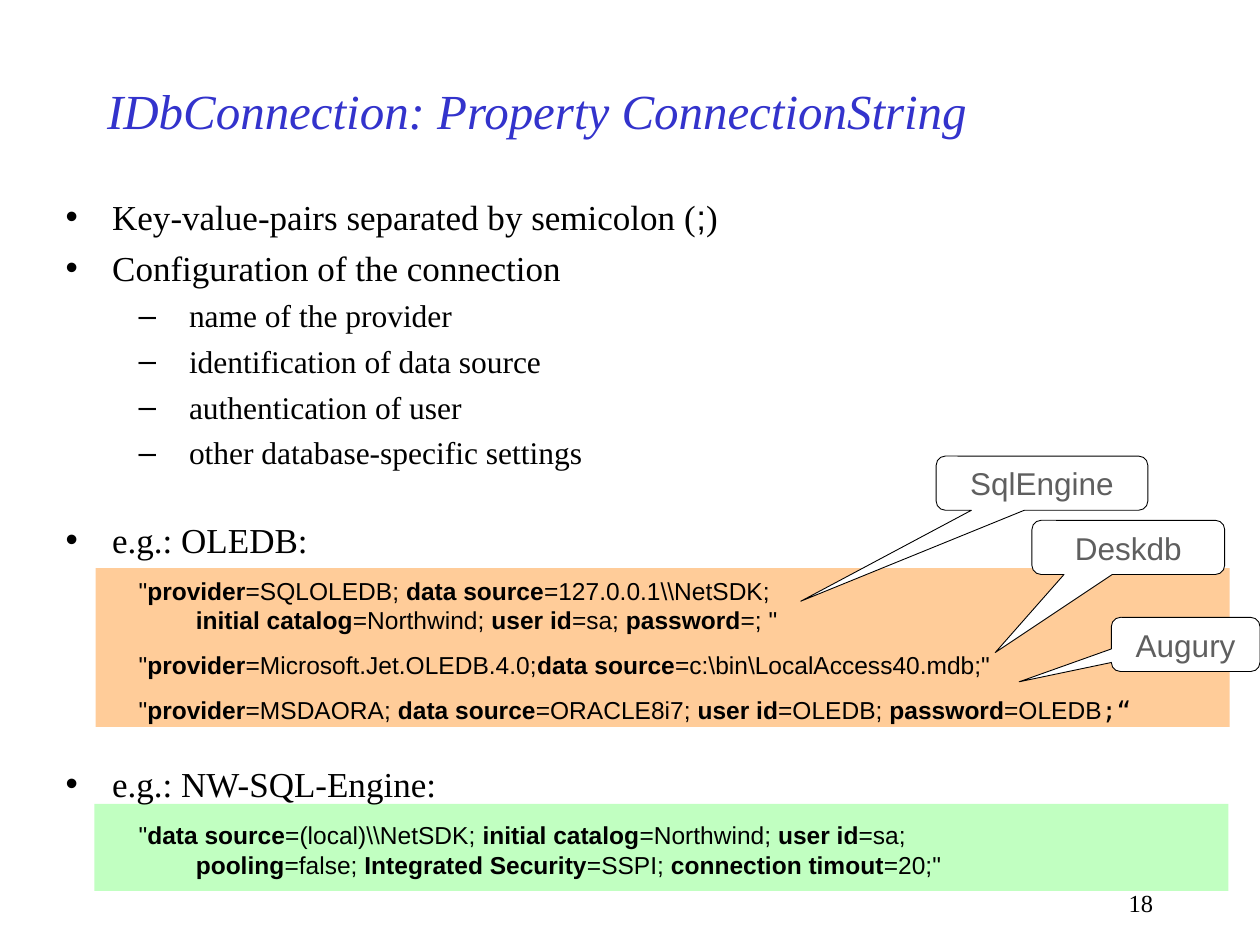
from lxml.etree import SubElement
from pptx import Presentation
from pptx.dml.color import RGBColor
from pptx.enum.shapes import MSO_SHAPE
from pptx.enum.text import MSO_ANCHOR, MSO_AUTO_SIZE, PP_ALIGN
from pptx.oxml.ns import qn
from pptx.util import Inches, Pt

COLORS = {
    "text": "000000",
    "title": "3333CC",
    "orange": "FFCC99",
    "green": "C1FFC1",
    "callout": "FFFFFF",
    "label": "5F5F5F",
}
SERIF, SANS, MONO = "Times New Roman", "Arial", "DejaVu Sans Mono"

STYLES = {
    "item": dict(level=0, margin=0.37, indent=-0.37, bullet="•", size=20, font=SERIF, other_font=SANS),
    "subitem": dict(level=1, margin=0.98, indent=-0.4, bullet="–", size=18, font=SERIF, other_font=SANS),
    "code": dict(level=1, margin=0.98, indent=-0.4, bullet=None, size=14, font=SANS, other_font=MONO),
}

BODY = [
    ("item", 0, "Key-value-pairs separated by semicolon (|;|)"),
    ("item", 5.25, "Configuration of the connection"),
    ("subitem", 4.5, "name of the provider"),
    ("subitem", 4.5, "identification of data source"),
    ("subitem", 4.5, "authentication of user"),
    ("subitem", 4.5, "other database-specific settings"),
    ("item", 27, "e.g.: OLEDB:"),
    ("code", 8.8, '"*provider*=SQLOLEDB; *data source*=127.0.0.1\\\\NetSDK; \n'
                  ' *initial catalog*=Northwind; *user id*=sa; *password*=; "'),
    ("code", 8.8, '"*provider*=Microsoft.Jet.OLEDB.4.0;*data source*=c:\\bin\\LocalAccess40.mdb;"'),
    ("code", 8.8, '"*provider*=MSDAORA; *data source*=ORACLE8i7; *user id*=OLEDB; '
                  '*password*=OLEDB|;“|'),
    ("item", 22, "e.g.: NW-SQL-Engine:"),
    ("code", 8.8, '"*data source*=(local)\\\\NetSDK; *initial catalog*=Northwind; *user id*=sa; \n'
                  ' *pooling*=false; *Integrated Security*=SSPI; *connection timout*=20;"'),
]

PANELS = [(0.76, 4.51, 1.26, "orange"), (0.75, 6.38, 0.69, "green")]

CALLOUTS = [
    ("SqlEngine", 7.43, 3.62, 1.68, (-1.14, 2.18)),
    ("Deskdb", 8.19, 4.13, 1.53, (-0.69, 1.94)),
    ("Augury", 8.82, 4.9, 1.18, (-1.12, 0.69)),
]


def format_run(run, font, size, color, bold=False, italic=False):
    run.font.name = font
    run.font.size = Pt(size)
    run.font.bold = bold
    run.font.italic = italic
    run.font.color.rgb = RGBColor.from_string(COLORS[color])


def place(shape, left, top, width, height):
    shape.left, shape.top = Inches(left), Inches(top)
    shape.width, shape.height = Inches(width), Inches(height)


presentation = Presentation()
presentation.slide_width = Inches(10)
presentation.slide_height = Inches(7.5)
slide = presentation.slides.add_slide(presentation.slide_layouts[1])
title, body = slide.shapes.title, slide.placeholders[1]

for left, top, height, color in PANELS:
    panel = slide.shapes.add_shape(
        MSO_SHAPE.RECTANGLE, Inches(left), Inches(top), Inches(9), Inches(height))
    panel.shadow.inherit = False
    panel.fill.solid()
    panel.fill.fore_color.rgb = RGBColor.from_string(COLORS[color])
    panel.line.fill.background()
    title._element.addprevious(panel._element)

place(title, 0.75, 0.5, 7.5, 0.75)
title.text_frame.text = "IDbConnection: Property ConnectionString"
title.text_frame.auto_size = MSO_AUTO_SIZE.NONE
title.text_frame.vertical_anchor = MSO_ANCHOR.MIDDLE
title.text_frame.paragraphs[0].alignment = PP_ALIGN.LEFT
format_run(title.text_frame.paragraphs[0].runs[0], SERIF, 28, "title", italic=True)

place(body, 0.42, 1.5, 9.58, 6)
body.text_frame.auto_size = MSO_AUTO_SIZE.NONE
for number, (style_name, space_before, text) in enumerate(BODY):
    style = STYLES[style_name]
    paragraph = body.text_frame.add_paragraph() if number else body.text_frame.paragraphs[0]
    paragraph.level = style["level"]
    paragraph.space_before = Pt(space_before)
    properties = paragraph._p.get_or_add_pPr()
    properties.set("marL", str(Inches(style["margin"])))
    properties.set("indent", str(Inches(style["indent"])))
    if style["bullet"]:
        SubElement(properties, qn("a:buChar"), char=style["bullet"])
    else:
        SubElement(properties, qn("a:buNone"))
    for line_number, line in enumerate(text.split("\n")):
        if line_number:
            paragraph.add_line_break()
            line_break = paragraph._p.findall(qn("a:br"))[-1]
            SubElement(line_break, qn("a:rPr"), sz=str(style["size"] * 100))
        for bold_number, part in enumerate(line.split("*")):
            for font_number, piece in enumerate(part.split("|")):
                if piece:
                    run = paragraph.add_run()
                    run.text = piece
                    font = style["other_font"] if font_number % 2 else style["font"]
                    format_run(run, font, style["size"], "text", bold=bold_number % 2 == 1)

for label, left, top, width, pointer in CALLOUTS:
    callout = slide.shapes.add_shape(
        MSO_SHAPE.ROUNDED_RECTANGULAR_CALLOUT,
        Inches(left), Inches(top), Inches(width), Inches(0.43))
    callout.adjustments[0], callout.adjustments[1] = pointer
    callout.adjustments[2] = 0.17
    callout.shadow.inherit = False
    callout.fill.solid()
    callout.fill.fore_color.rgb = RGBColor.from_string(COLORS["callout"])
    callout.line.color.rgb = RGBColor.from_string(COLORS["text"])
    callout.line.width = Pt(0.5)
    callout.text_frame.text = label
    callout.text_frame.vertical_anchor = MSO_ANCHOR.MIDDLE
    callout.text_frame.paragraphs[0].alignment = PP_ALIGN.CENTER
    format_run(callout.text_frame.paragraphs[0].runs[0], SANS, 18, "label")

page_number = slide.shapes.add_textbox(Inches(7.17), Inches(7), Inches(2.08), Inches(0.33))
page_number.text_frame.word_wrap = True
page_number.text_frame.text = "18"
page_number.text_frame.paragraphs[0].alignment = PP_ALIGN.RIGHT
format_run(page_number.text_frame.paragraphs[0].runs[0], SERIF, 14, "text")

presentation.save("out.pptx")
